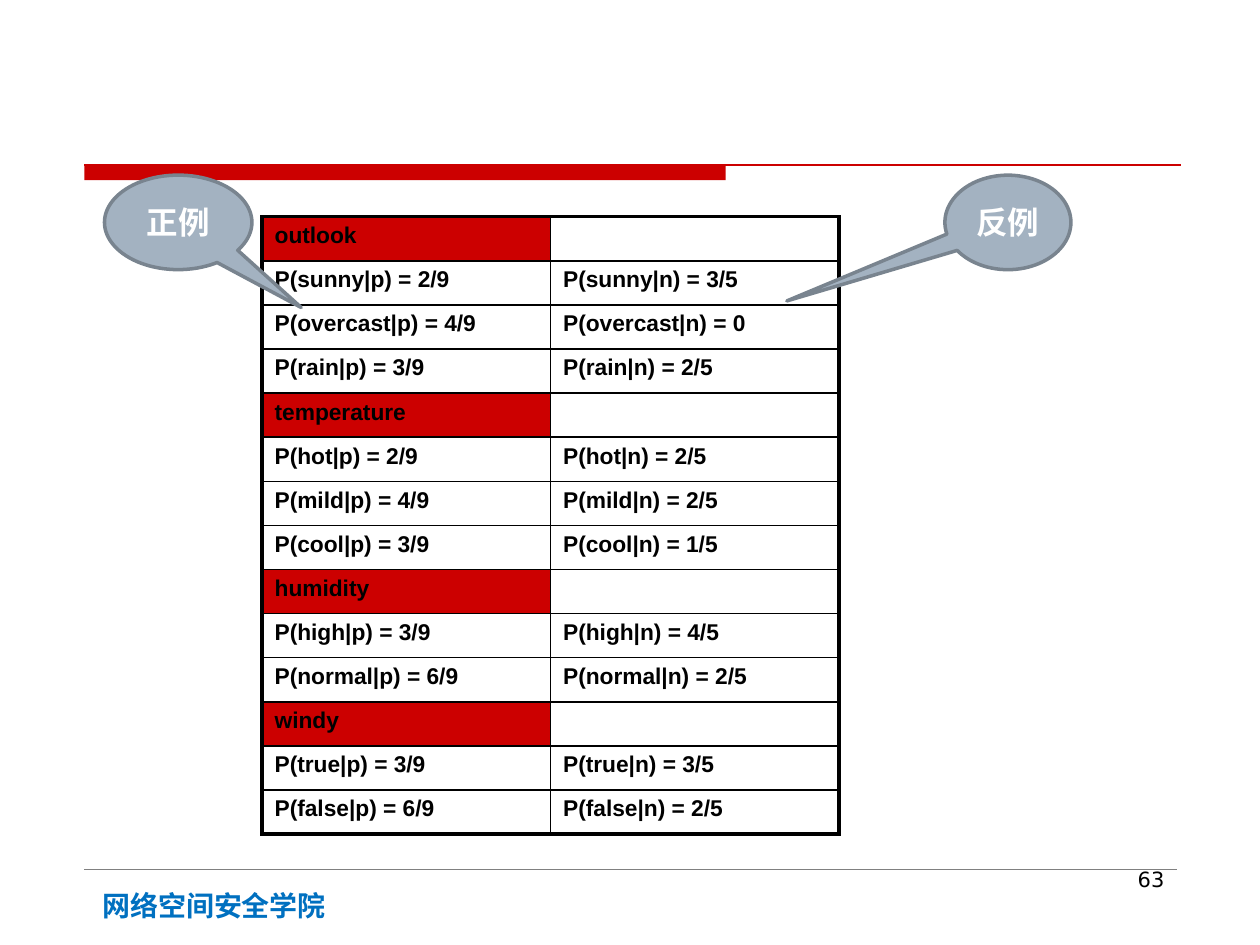
from dataclasses import dataclass

from lxml.etree import SubElement
from pptx import Presentation
from pptx.dml.color import RGBColor
from pptx.enum.shapes import MSO_CONNECTOR, MSO_SHAPE
from pptx.enum.text import MSO_ANCHOR, PP_ALIGN
from pptx.oxml.ns import qn
from pptx.util import Inches, Pt

COLORS = {"red": "CC0000", "blue": "0070C0", "black": "000000", "white": "FFFFFF",
          "rule": "808080", "bubble": "A3B2C1", "edge": "79848F"}
CJK = "Noto Sans CJK SC"
ROW_H, COL_W = 0.35, 2.29
THIN, THICK = 1, 2.25


@dataclass
class Callout:
    text: str
    left: float
    width: float
    tail: tuple[float, float]


@dataclass
class Group:
    name: str
    values: list[tuple[str, str, str]]  # value, P(value|p), P(value|n)


CALLOUTS = [Callout("正例", 0.83, 1.17, (0.834, 0.9)),
            Callout("反例", 7.5, 1, (-1.755, 0.831))]
GROUPS = [
    Group("outlook", [("sunny", "2/9", "3/5"), ("overcast", "4/9", "0"), ("rain", "3/9", "2/5")]),
    Group("temperature", [("hot", "2/9", "2/5"), ("mild", "4/9", "2/5"), ("cool", "3/9", "1/5")]),
    Group("humidity", [("high", "3/9", "4/5"), ("normal", "6/9", "2/5")]),
    Group("windy", [("true", "3/9", "3/5"), ("false", "6/9", "2/5")]),
]


def rgb(name: str) -> RGBColor:
    return RGBColor.from_string(COLORS[name])


def write(tf, text: str, size: float = 13, font: str = "Arial", color: str = "black",
          bold: bool = True, align=PP_ALIGN.LEFT) -> None:
    p = tf.paragraphs[0]
    p.alignment = align
    if not text:  # keeps an empty cell from growing to the default size
        SubElement(p._p, qn("a:endParaRPr"), sz=str(size * 100))
        return
    r = p.add_run()
    r.text = text
    r.font.size, r.font.name, r.font.bold = Pt(size), font, bold
    r.font.color.rgb = rgb(color)
    if not text.isascii():
        SubElement(r._r.get_or_add_rPr(), qn("a:ea"), typeface=CJK)


def add_rule(s, x1: float, x2: float, y: float, color: str, width: float) -> None:
    line = s.shapes.add_connector(MSO_CONNECTOR.STRAIGHT, Inches(x1), Inches(y),
                                  Inches(x2), Inches(y))
    line.line.color.rgb = rgb(color)
    line.line.width = Pt(width)
    SubElement(line._element.spPr, qn("a:effectLst"))


def add_callout(s, c: Callout) -> None:
    sp = s.shapes.add_shape(MSO_SHAPE.OVAL_CALLOUT, Inches(c.left), Inches(1.39),
                            Inches(c.width), Inches(0.75))
    sp.shadow.inherit = False
    sp.adjustments[0], sp.adjustments[1] = c.tail
    sp.fill.solid()
    sp.fill.fore_color.rgb = rgb("bubble")
    sp.line.color.rgb = rgb("edge")
    sp.line.width = Pt(2)
    sp.text_frame.vertical_anchor = MSO_ANCHOR.MIDDLE
    write(sp.text_frame, c.text, size=18, font="DejaVu Sans", color="white",
          align=PP_ALIGN.CENTER)


def add_text(s, box: tuple[float, ...], text: str, wrap: bool = True, **fmt) -> None:
    tf = s.shapes.add_textbox(*map(Inches, box)).text_frame
    tf.word_wrap = wrap
    write(tf, text, **fmt)


def set_borders(cell, widths: dict[str, float]) -> None:
    tcPr = cell._tc.get_or_add_tcPr()
    for side, width in widths.items():
        ln = SubElement(tcPr, qn(f"a:ln{side}"), w=str(Pt(width)))
        SubElement(SubElement(ln, qn("a:solidFill")), qn("a:srgbClr"), val=COLORS["black"])


def add_probability_table(s) -> None:
    rows = []
    for g in GROUPS:
        rows.append((g.name, ""))
        rows += [(f"P({v}|p) = {p}", f"P({v}|n) = {n}") for v, p, n in g.values]
    last = len(rows) - 1
    table = s.shapes.add_table(len(rows), 2, Inches(2.08), Inches(1.72),
                               Inches(2 * COL_W), Inches(len(rows) * ROW_H)).table
    table.first_row = table.horz_banding = False
    for col in table.columns:
        col.width = Inches(COL_W)
    for i, texts in enumerate(rows):
        table.rows[i].height = Inches(ROW_H)
        for j, text in enumerate(texts):
            cell = table.cell(i, j)
            outer = {"L": j == 0, "R": j == 1, "T": i == 0, "B": i == last}
            set_borders(cell, {k: THICK if edge else THIN for k, edge in outer.items()})
            if j == 0 and not texts[1]:
                cell.fill.solid()
                cell.fill.fore_color.rgb = rgb("red")
            else:
                cell.fill.background()
            write(cell.text_frame, text)


def main() -> None:
    prs = Presentation()
    prs.slide_width, prs.slide_height = Inches(10), Inches(7.5)
    s = prs.slides.add_slide(prs.slide_layouts[6])

    # Header bar and rules
    bar = s.shapes.add_shape(MSO_SHAPE.RECTANGLE, Inches(0.67), Inches(1.31),
                             Inches(5.09), Inches(0.12))
    bar.shadow.inherit = False
    bar.fill.solid()
    bar.fill.fore_color.rgb = rgb("red")
    bar.line.fill.background()
    add_rule(s, 0.67, 9.37, 1.31, "red", 0.75)
    add_rule(s, 0.67, 9.34, 6.9, "rule", 0.25)

    # School name
    add_text(s, (0.71, 7, 1.98, 0.37), "网络空间安全学院", wrap=False, size=16, font=CJK,
             color="blue", align=PP_ALIGN.CENTER)

    # Conditional probabilities with their class callouts
    add_probability_table(s)
    for c in CALLOUTS:
        add_callout(s, c)

    # Page number
    add_text(s, (7.17, 6.83, 2.17, 0.52), "63", size=12, font="DejaVu Sans", bold=False,
             align=PP_ALIGN.RIGHT)
    prs.save("out.pptx")


if __name__ == "__main__":
    main()
